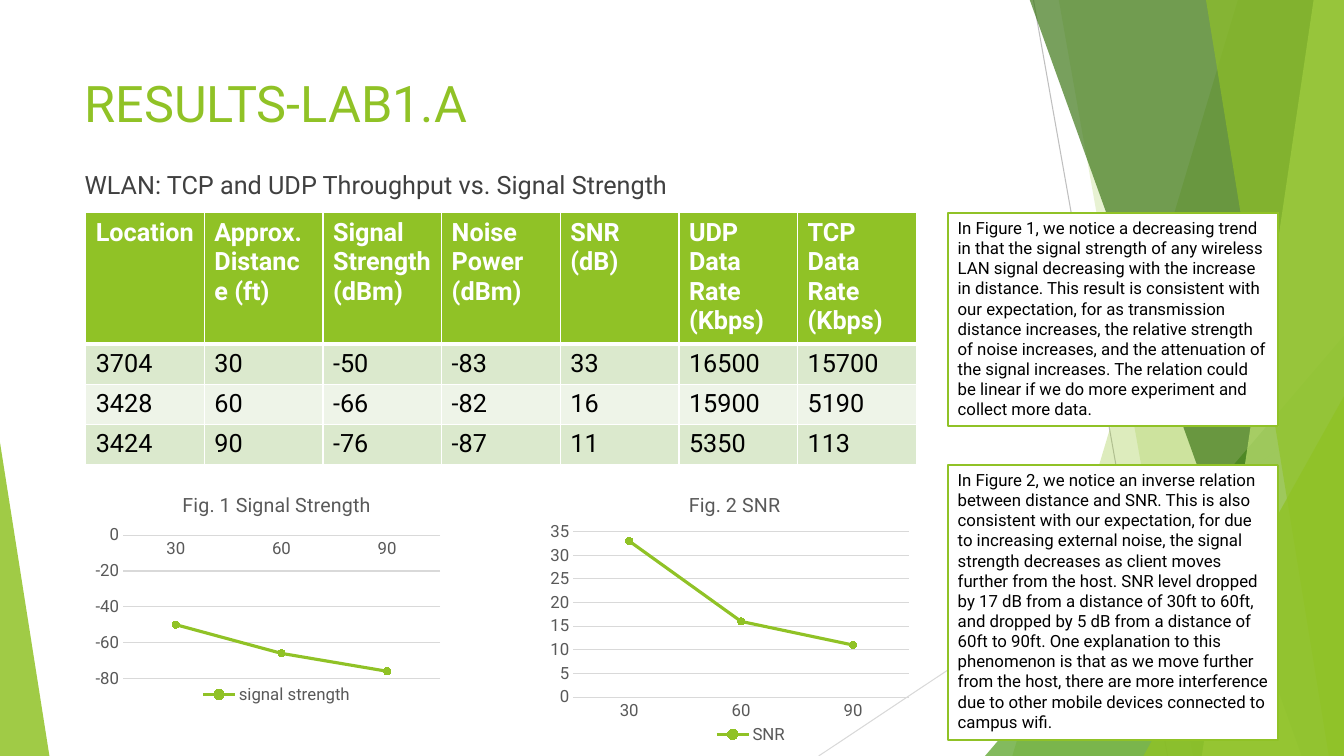
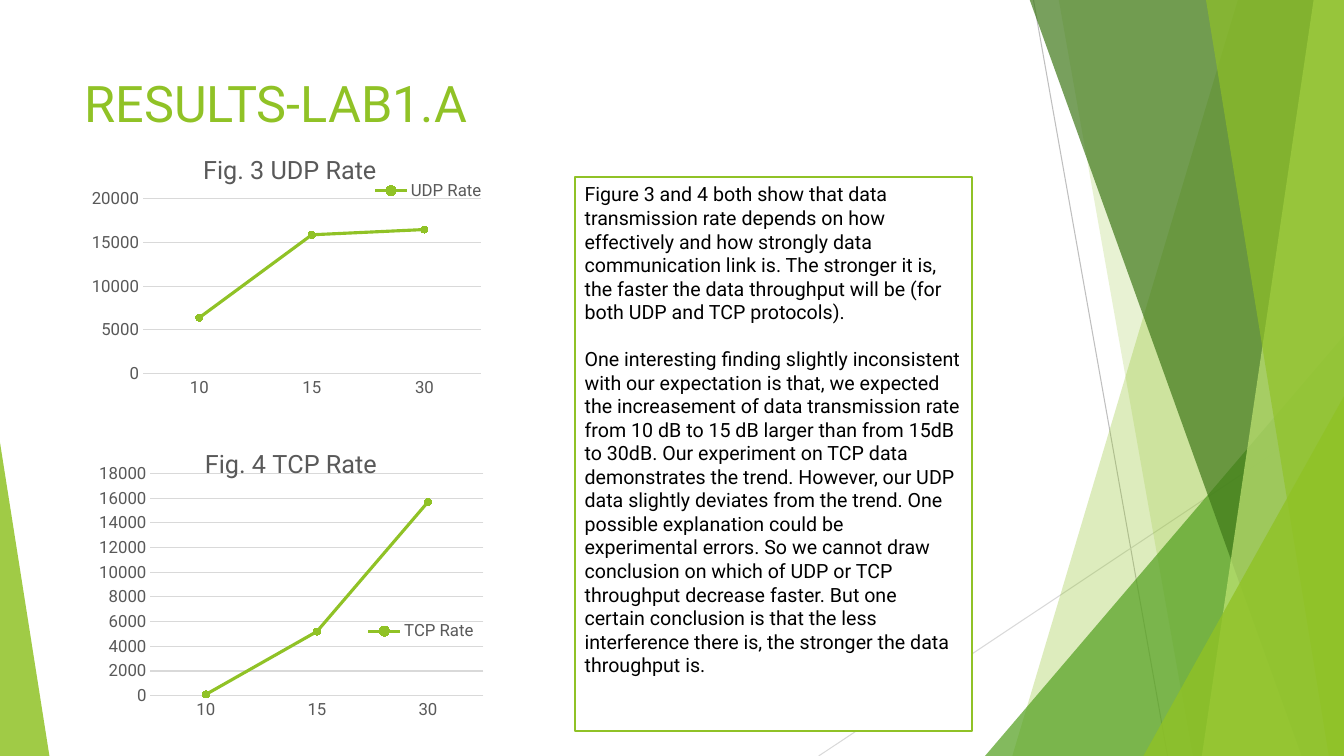
import pptx
import pptx.chart.data
import pptx.dml.color
import pptx.enum.chart
import pptx.enum.shapes
import pptx.enum.text
import pptx.oxml
import pptx.oxml.ns
import pptx.util

Inches = pptx.util.Inches
Pt = pptx.util.Pt
SHAPES = pptx.enum.shapes.MSO_SHAPE
CHARTS = pptx.enum.chart.XL_CHART_TYPE
NO_TICK = pptx.enum.chart.XL_TICK_MARK.NONE

FONT = "Roboto"
GREEN, WHITE, BLACK = "90C226", "FFFFFF", "000000"
DARK_GRAY, CHART_GRAY, RULE_GRAY = "404040", "595959", "D9D9D9"
NAMESPACES = pptx.oxml.ns.nsdecls("a", "c")

RULES = [(10.25, 0, 11.58, 7.5, "BFBFBF"), (13.33, 4.03, 8.12, 7.5, RULE_GRAY)]
BANDS = [
    ("band", 12.28, 10.04, GREEN, 30),
    ("band", 10.5, 11.83, GREEN, 20),
    ("triangle", (9.77, 3.33, 3.56, 4.17), 1, "54A021", 72),
    ("band", 10.21, 12.91, "3F7819", 70),
    ("band", 13.03, 11.92, "C0E474", 70),
    ("band", 11.96, 13.18, GREEN, 65),
    ("triangle", (11.34, 3.93, 1.99, 3.57), 1, GREEN, 80),
    ("triangle", (0, 4.39, 0.49, 3.11), 0, GREEN, 85),
]

TABLE_ROWS = [
    ["Location", "Approx. Distance (ft)", "Signal Strength (dBm)", "Noise Power (dBm)",
     "SNR (dB)", "UDP Data Rate (Kbps)", "TCP Data Rate (Kbps)"],
    ["3704", "30", "-50", "-83", "33", "16500", "15700"],
    ["3428", "60", "-66", "-82", "16", "15900", "5190"],
    ["3424", "90", "-76", "-87", "11", "5350", "113"],
]

DISTANCES, SNR_LEVELS = ["30", "60", "90"], ["10", "15", "30"]
FIGURES = [
    dict(slide=0, box=(0.85, 4.67, 3.7, 2.37), kind=CHARTS.LINE_MARKERS_STACKED,
         title="Fig. 1 Signal Strength", size=14, series="signal strength",
         categories=DISTANCES, values=[-50, -66, -76], scale=(-80, 0, 20),
         title_at=(0.25, 0.07), legend_at=(0.3, 0.9), plot=(0.1, 0.27, 0.85, 0.6)),
    dict(slide=0, box=(5.39, 4.67, 3.7, 2.88), kind=CHARTS.LINE_MARKERS,
         title="Fig. 2 SNR", size=14, series="SNR",
         categories=DISTANCES, values=[33, 16, 11], scale=(0, 35, 5),
         title_at=(0.38, 0.06), legend_at=(0.45, 0.86), plot=(0.08, 0.21, 0.9, 0.57)),
    dict(slide=1, box=(0.74, 1.26, 4.24, 2.75), kind=CHARTS.LINE_MARKERS,
         title="Fig. 3 UDP Rate", size=18, series="UDP Rate",
         categories=SNR_LEVELS, values=[6400, 15900, 16500], scale=(0, 20000, 5000),
         title_at=(0.29, 0.08), legend_at=(0.69, 0.18), plot=(0.16, 0.26, 0.79, 0.63)),
    dict(slide=1, box=(0.79, 4.19, 4.13, 3.39), kind=CHARTS.LINE_MARKERS,
         title="Fig. 4 TCP Rate", size=18, series="TCP Rate",
         categories=SNR_LEVELS, values=[100, 5200, 15700], scale=(0, 18000, 2000),
         title_at=(0.29, 0.06), legend_at=(0.68, 0.57), plot=(0.17, 0.15, 0.8, 0.65)),
]

COMMENTS = [
    (0, (9.4, 2.11, 3.28, 2.12), 12, [
        "In Figure 1, we notice a decreasing trend in that the signal strength of any wireless "
        "LAN signal decreasing with the increase in distance. This result is consistent with our "
        "expectation, for as transmission distance increases, the relative strength of noise "
        "increases, and the attenuation of the signal increases. The relation could be linear "
        "if we do more experiment and collect more data."]),
    (0, (9.4, 4.61, 3.28, 2.73), 12, [
        "In Figure 2, we notice an inverse relation between distance and SNR. This is also "
        "consistent with our expectation, for due to increasing external noise, the signal "
        "strength decreases as client moves further from the host. SNR level dropped by 17 dB "
        "from a distance of 30ft to 60ft, and dropped by 5 dB from a distance of 60ft to 90ft. "
        "One explanation to this phenomenon is that as we move further from the host, there are "
        "more interference due to other mobile devices connected to campus wifi."]),
    (1, (5.7, 1.76, 3.94, 5.49), 14, [
        "Figure 3 and 4 both show that data transmission rate depends on how effectively and how "
        "strongly data communication link is. The stronger it is, the faster the data throughput "
        "will be (for both UDP and TCP protocols).",
        "One interesting finding slightly inconsistent with our expectation is that, we expected "
        "the increasement of data transmission rate from 10 dB to 15 dB larger than from 15dB to "
        "30dB. Our experiment on TCP data demonstrates the trend. However, our UDP data slightly "
        "deviates from the trend. One possible explanation could be experimental errors. So we "
        "cannot draw conclusion on which of UDP or TCP throughput decrease faster. But one "
        "certain conclusion is that the less interference there is, the stronger the data "
        "throughput is."]),
]


def paint(fill, color):
    fill.solid()
    fill.fore_color.rgb = pptx.dml.color.RGBColor.from_string(color)


def write(frame, texts, size, color, bold=False):
    frame.word_wrap = True
    frame.vertical_anchor = pptx.enum.text.MSO_ANCHOR.TOP
    for index, text in enumerate(texts):
        paragraph = frame.add_paragraph() if index else frame.paragraphs[0]
        paragraph.alignment = pptx.enum.text.PP_ALIGN.LEFT
        paragraph.space_before = Pt(16.8 if index else 0)
        run = paragraph.add_run()
        run.text = text
        for name, value in dict(name=FONT, size=Pt(size), bold=bold).items():
            setattr(run.font, name, value)
        paint(run.font.fill, color)


presentation = pptx.Presentation()
presentation.slide_width, presentation.slide_height = Inches(13.33), Inches(7.5)
slides = [presentation.slides.add_slide(presentation.slide_layouts[6]) for _ in range(2)]

for slide in slides:
    for *ends, color in RULES:
        rule = slide.shapes.add_connector(
            pptx.enum.shapes.MSO_CONNECTOR.STRAIGHT, *map(Inches, ends))
        rule.line.width = Pt(0.75)
        paint(rule.line.fill, color)
        rule.element.spPr.append(pptx.oxml.parse_xml(f"<a:effectLst {NAMESPACES}/>"))
    for kind, place, detail, color, opacity in BANDS:
        if kind == "band":
            outline = slide.shapes.build_freeform(Inches(place), Inches(-0.01))
            corners = [(13.33, -0.01), (13.33, 7.5), (detail, 7.5)]
            outline.add_line_segments([(Inches(x), Inches(y)) for x, y in corners])
            shape = outline.convert_to_shape()
        else:
            shape = slide.shapes.add_shape(SHAPES.ISOSCELES_TRIANGLE, *map(Inches, place))
            shape.adjustments[0] = detail
        shape.shadow.inherit = False
        shape.line.fill.background()
        paint(shape.fill, color)
        shape.element.xpath("p:spPr/a:solidFill/a:srgbClr")[0].append(
            pptx.oxml.parse_xml(f'<a:alpha {NAMESPACES} val="{opacity * 1000}"/>'))
    title = slide.shapes.add_textbox(*map(Inches, (0.74, 0.67, 9.4, 0.8)))
    write(title.text_frame, ["RESULTS-LAB1.A"], 36, GREEN)

subtitle = slides[0].shapes.add_textbox(*map(Inches, (0.74, 1.63, 9.4, 0.45)))
write(subtitle.text_frame, ["WLAN: TCP and UDP Throughput vs. Signal Strength"], 18, DARK_GRAY)

table = slides[0].shapes.add_table(4, 7, *map(Inches, (0.85, 2.11, 8.24, 2.14))).table
for column in table.columns:
    column.width = Inches(8.24 / 7)
for row_index, texts in enumerate(TABLE_ROWS):
    header = row_index == 0
    table.rows[row_index].height = Inches(1.12 if header else 0.34)
    for column_index, text in enumerate(texts):
        cell = table.cell(row_index, column_index)
        write(cell.text_frame, [text], 18, WHITE if header else BLACK, header)
        paint(cell.fill, GREEN if header else ["EEF4E8", "DBE9CD"][row_index % 2])
        properties = cell.text_frame._txBody.getparent().get_or_add_tcPr()
        for index, side in enumerate("LRTB"):
            thick = (header and side == "B") or (row_index == 1 and side == "T")
            properties.insert(index, pptx.oxml.parse_xml(
                f'<a:ln{side} {NAMESPACES} w="{Pt(3 if thick else 1)}"><a:solidFill>'
                f'<a:srgbClr val="{WHITE}"/></a:solidFill></a:ln{side}>'))

for figure in FIGURES:
    data = pptx.chart.data.CategoryChartData()
    data.categories = figure["categories"]
    data.add_series(figure["series"], figure["values"])
    chart = slides[figure["slide"]].shapes.add_chart(
        figure["kind"], *map(Inches, figure["box"]), data).chart
    chart.has_title = True
    write(chart.chart_title.text_frame, [figure["title"]], figure["size"], CHART_GRAY)
    chart.has_legend = True
    chart.legend.position = pptx.enum.chart.XL_LEGEND_POSITION.BOTTOM
    chart.legend.include_in_layout = False

    categories, values = chart.category_axis, chart.value_axis
    low, high, step = figure["scale"]
    for name, value in dict(minimum_scale=low, maximum_scale=high, major_unit=step,
                            has_major_gridlines=True).items():
        setattr(values, name, value)
    for axis in (categories, values):
        axis.major_tick_mark = axis.minor_tick_mark = NO_TICK
    for font in (chart.font, chart.legend.font, categories.tick_labels.font,
                 values.tick_labels.font):
        font.name, font.size = FONT, Pt(12)
        paint(font.fill, CHART_GRAY)
    values.format.line.fill.background()
    for line in (categories.format.line, values.major_gridlines.format.line):
        line.width = Pt(0.75)
        paint(line.fill, RULE_GRAY)

    plot = chart.plots[0]
    plot.vary_by_categories = False
    series = plot.series[0]
    series.smooth = False
    series.format.line.width = Pt(2.25)
    series.marker.style = pptx.enum.chart.XL_MARKER_STYLE.CIRCLE
    series.marker.size = 5
    for fill in (series.format.line.fill, series.marker.format.fill,
                 series.marker.format.line.fill):
        paint(fill, GREEN)

    for part, index, place in (("title", 1, figure["title_at"]),
                               ("legend", 1, figure["legend_at"]),
                               ("plotArea", 0, figure["plot"])):
        element = chart.element.xpath(f"c:chart/c:{part}")[0]
        for layout in element.xpath("c:layout"):
            element.remove(layout)
        target = '<c:layoutTarget val="inner"/>' if part == "plotArea" else ""
        modes = '<c:xMode val="edge"/><c:yMode val="edge"/>'
        sizes = "".join(f'<c:{key} val="{value}"/>' for key, value in zip("xywh", place))
        element.insert(index, pptx.oxml.parse_xml(
            f"<c:layout {NAMESPACES}><c:manualLayout>{target}{modes}{sizes}"
            "</c:manualLayout></c:layout>"))

for slide_index, box, size, texts in COMMENTS:
    comment = slides[slide_index].shapes.add_shape(SHAPES.RECTANGLE, *map(Inches, box))
    comment.shadow.inherit = False
    paint(comment.fill, WHITE)
    paint(comment.line.fill, GREEN)
    comment.line.width = Pt(1.5)
    write(comment.text_frame, texts, size, BLACK)

presentation.save("out.pptx")
